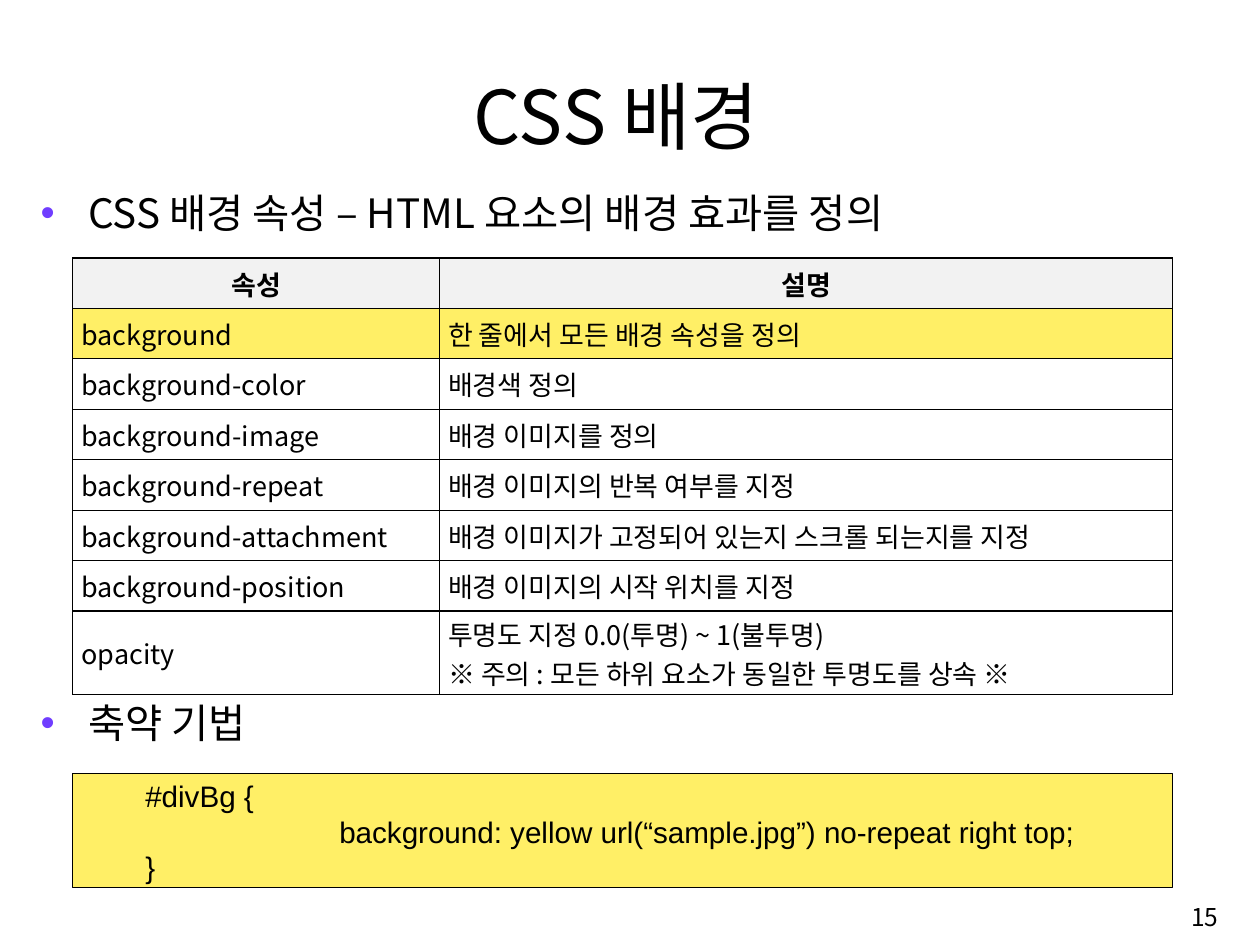
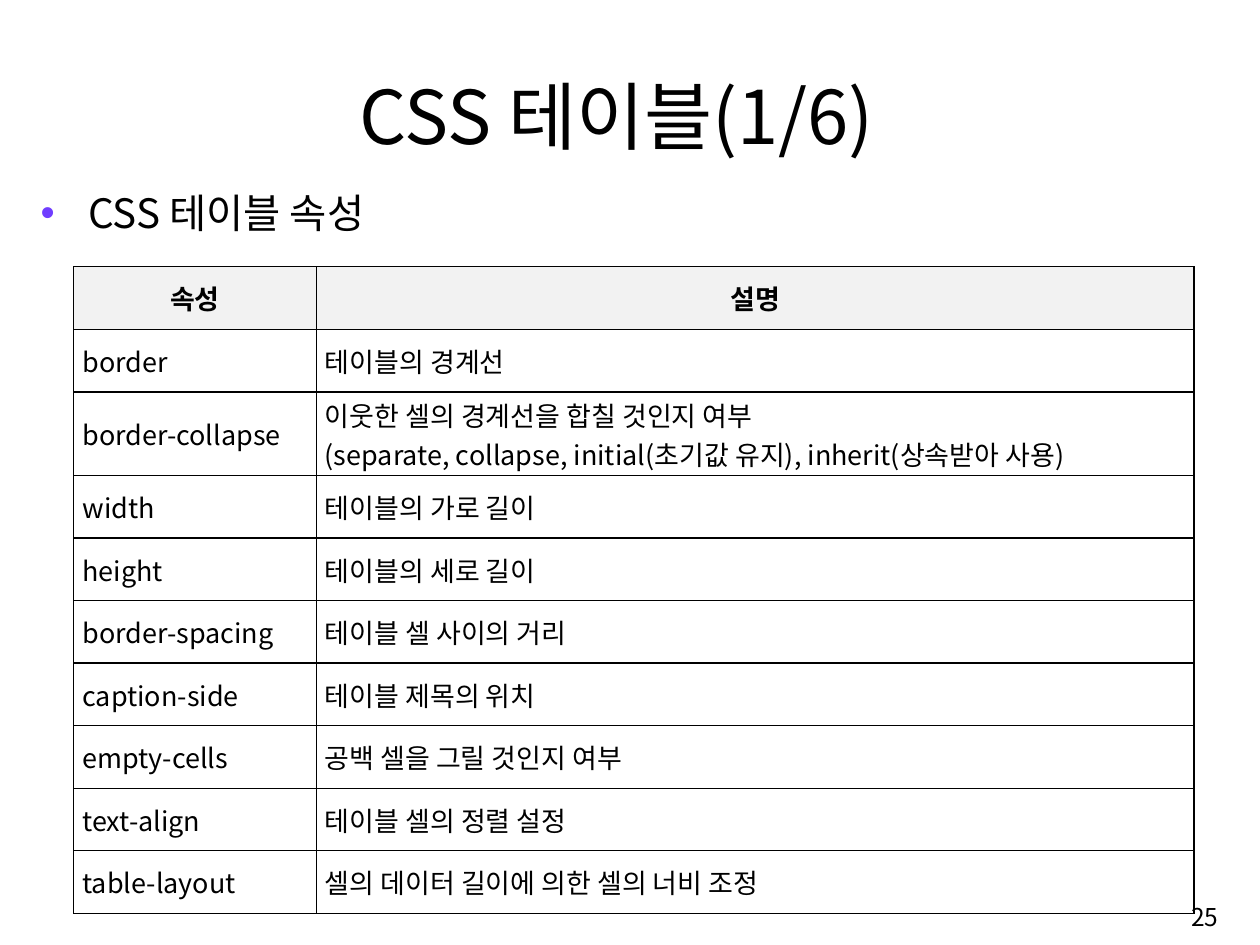
from dataclasses import dataclass

from lxml.etree import SubElement
from pptx import Presentation
from pptx.dml.color import RGBColor
from pptx.enum.shapes import MSO_SHAPE
from pptx.enum.text import MSO_ANCHOR, PP_ALIGN
from pptx.oxml import parse_xml
from pptx.oxml.ns import nsdecls, qn
from pptx.slide import Slide
from pptx.table import _Cell
from pptx.text.text import TextFrame, _Paragraph
from pptx.util import Inches, Pt


@dataclass(frozen=True)
class Theme:
    sans: str = "Noto Sans CJK KR"
    code_font: str = "Arial"
    ink: str = "000000"
    bullet: str = "703DFF"
    header: str = "F2F2F2"
    highlight: str = "FFEF66"
    title_size: float = 55
    bullet_size: float = 30
    code_size: float = 22
    table_size: float = 20
    page_size: float = 18.2


THEME = Theme()


@dataclass(frozen=True)
class Box:
    left: float
    top: float
    width: float
    height: float

    def lengths(self) -> tuple:
        return tuple(Inches(v) for v in (self.left, self.top, self.width, self.height))


TITLE_BOX = Box(1.05, 0.61, 10.61, 1.08)
PAGE_BOX = Box(9.98, 9.15, 2.68, 0.6)


@dataclass(frozen=True)
class BulletLine:
    text: str
    top: float = 1.89


@dataclass(frozen=True)
class PropertyTable:
    left: float
    top: float
    columns: tuple[float, float]
    row_height: float
    rows: tuple[tuple[str, str], ...]
    highlighted: str = ""
    two_line_height: float = 0.86


@dataclass(frozen=True)
class CodeLine:
    text: str
    indent: float = 0.65


def style(paragraph: _Paragraph, size: float, font: str = THEME.sans,
          align: PP_ALIGN = PP_ALIGN.LEFT, bold: bool = False) -> None:
    paragraph.alignment = align
    for run in paragraph.runs:
        run.font.size = Pt(size)
        run.font.name = font
        run.font.bold = bold
        run.font.color.rgb = RGBColor.from_string(THEME.ink)
        # Korean text takes its face from the East Asian slot
        run.font._element.find(qn("a:latin")).addnext(
            parse_xml(f'<a:ea {nsdecls("a")} typeface="{font}"/>'))


def add_text(slide: Slide, box: Box, text: str, size: float, align: PP_ALIGN,
             anchor: MSO_ANCHOR) -> TextFrame:
    frame = slide.shapes.add_textbox(*box.lengths()).text_frame
    frame.word_wrap = True
    frame.vertical_anchor = anchor
    frame.text = text
    style(frame.paragraphs[0], size, align=align)
    return frame


def add_bullet(slide: Slide, line: BulletLine) -> None:
    frame = add_text(slide, Box(0.32, line.top, 12.32, 0.75), line.text,
                     THEME.bullet_size, PP_ALIGN.LEFT, MSO_ANCHOR.TOP)
    paragraph = frame.paragraphs[0]
    paragraph.space_before = Pt(THEME.bullet_size * 0.2)
    properties = paragraph._p.get_or_add_pPr()
    properties.set("marL", str(Inches(0.49)))
    properties.set("indent", str(Inches(-0.49)))
    color = SubElement(properties, qn("a:buClr"))
    SubElement(color, qn("a:srgbClr"), val=THEME.bullet)
    SubElement(properties, qn("a:buFont"), typeface=THEME.code_font)
    SubElement(properties, qn("a:buChar"), char="•")


def add_borders(cell: _Cell) -> None:
    properties = cell._tc.get_or_add_tcPr()
    for index, side in enumerate(("lnL", "lnR", "lnT", "lnB")):
        properties.insert(index, parse_xml(
            f'<a:{side} {nsdecls("a")} w="{Pt(1)}"><a:solidFill>'
            f'<a:srgbClr val="{THEME.ink}"/></a:solidFill></a:{side}>'))


def fill_cell(cell: _Cell, text: str, fill: str, is_header: bool) -> None:
    cell.vertical_anchor = MSO_ANCHOR.MIDDLE
    cell.margin_left = cell.margin_right = Inches(0.09)
    cell.margin_top = cell.margin_bottom = Inches(0.03)
    cell.text_frame.text = text
    align = PP_ALIGN.CENTER if is_header else PP_ALIGN.JUSTIFY
    for paragraph in cell.text_frame.paragraphs:
        style(paragraph, THEME.table_size, align=align, bold=is_header)
    if fill:
        cell.fill.solid()
        cell.fill.fore_color.rgb = RGBColor.from_string(fill)
    else:
        cell.fill.background()
    add_borders(cell)


def add_property_table(slide: Slide, content: PropertyTable) -> None:
    rows = (("속성", "설명"), *content.rows)
    heights = [content.two_line_height if "\n" in description else content.row_height
               for _, description in rows]
    box = Box(content.left, content.top, sum(content.columns), sum(heights))
    table = slide.shapes.add_table(len(rows), 2, *box.lengths()).table
    table.first_row = table.horz_banding = False
    for column, width in zip(table.columns, content.columns):
        column.width = Inches(width)
    for index, (texts, height) in enumerate(zip(rows, heights)):
        table.rows[index].height = Inches(height)
        is_header = index == 0
        fill = ""
        if is_header:
            fill = THEME.header
        elif texts[0] == content.highlighted:
            fill = THEME.highlight
        for column_index, text in enumerate(texts):
            fill_cell(table.cell(index, column_index), text, fill, is_header)


def add_code(slide: Slide, box: Box, lines: tuple[CodeLine, ...]) -> None:
    panel = slide.shapes.add_shape(MSO_SHAPE.RECTANGLE, *box.lengths())
    panel.shadow.inherit = False
    panel.fill.solid()
    panel.fill.fore_color.rgb = RGBColor.from_string(THEME.highlight)
    panel.line.color.rgb = RGBColor.from_string(THEME.ink)
    panel.line.width = Pt(0.75)
    frame = panel.text_frame
    frame.word_wrap = True
    frame.vertical_anchor = MSO_ANCHOR.TOP
    frame.text = "\n".join(line.text for line in lines)
    for paragraph, line in zip(frame.paragraphs, lines):
        style(paragraph, THEME.code_size, THEME.code_font)
        paragraph._p.get_or_add_pPr().set("marL", str(Inches(line.indent)))


def add_page(deck: Presentation, title: str, number: int,
             bullets: tuple[BulletLine, ...], table: PropertyTable) -> Slide:
    slide = deck.slides.add_slide(deck.slide_layouts[6])
    for bullet in bullets:
        add_bullet(slide, bullet)
    add_property_table(slide, table)
    add_text(slide, PAGE_BOX, str(number), THEME.page_size,
             PP_ALIGN.RIGHT, MSO_ANCHOR.MIDDLE)
    add_text(slide, TITLE_BOX, title, THEME.title_size,
             PP_ALIGN.CENTER, MSO_ANCHOR.BOTTOM)
    return slide


BACKGROUND_TABLE = PropertyTable(
    left=0.75, top=2.66, columns=(3.78, 7.56), row_height=0.52,
    highlighted="background",
    rows=(
        ("background", "한 줄에서 모든 배경 속성을 정의"),
        ("background-color", "배경색 정의"),
        ("background-image", "배경 이미지를 정의"),
        ("background-repeat", "배경 이미지의 반복 여부를 지정"),
        ("background-attachment", "배경 이미지가 고정되어 있는지 스크롤 되는지를 지정"),
        ("background-position", "배경 이미지의 시작 위치를 지정"),
        ("opacity", "투명도 지정 0.0(투명) ~ 1(불투명)\n"
                    "※ 주의 : 모든 하위 요소가 동일한 투명도를 상속 ※"),
    ))

TABLE_PROPERTIES = PropertyTable(
    left=0.76, top=2.75, columns=(2.5, 9.05), row_height=0.645,
    rows=(
        ("border", "테이블의 경계선"),
        ("border-collapse", "이웃한 셀의 경계선을 합칠 것인지 여부\n"
                            "(separate, collapse, initial(초기값 유지), inherit(상속받아 사용)"),
        ("width", "테이블의 가로 길이"),
        ("height", "테이블의 세로 길이"),
        ("border-spacing", "테이블 셀 사이의 거리"),
        ("caption-side", "테이블 제목의 위치"),
        ("empty-cells", "공백 셀을 그릴 것인지 여부"),
        ("text-align", "테이블 셀의 정렬 설정"),
        ("table-layout", "셀의 데이터 길이에 의한 셀의 너비 조정"),
    ))

SHORTHAND_CODE = (
    CodeLine("#divBg {"),
    CodeLine("background: yellow url(“sample.jpg”) no-repeat right top;", indent=2.65),
    CodeLine("}"),
)


def main() -> None:
    deck = Presentation()
    deck.slide_width, deck.slide_height = Inches(12.99), Inches(9.74)

    # Background properties and their shorthand
    background = add_page(
        deck, "CSS 배경", 15,
        (BulletLine("CSS 배경 속성 – HTML 요소의 배경 효과를 정의"),
         BulletLine("축약 기법", top=7.15)),
        BACKGROUND_TABLE)
    add_code(background, Box(0.75, 7.97, 11.34, 1.18), SHORTHAND_CODE)

    # Table properties
    add_page(deck, "CSS 테이블(1/6)", 25,
             (BulletLine("CSS 테이블 속성"),), TABLE_PROPERTIES)

    deck.save("out.pptx")


if __name__ == "__main__":
    main()
